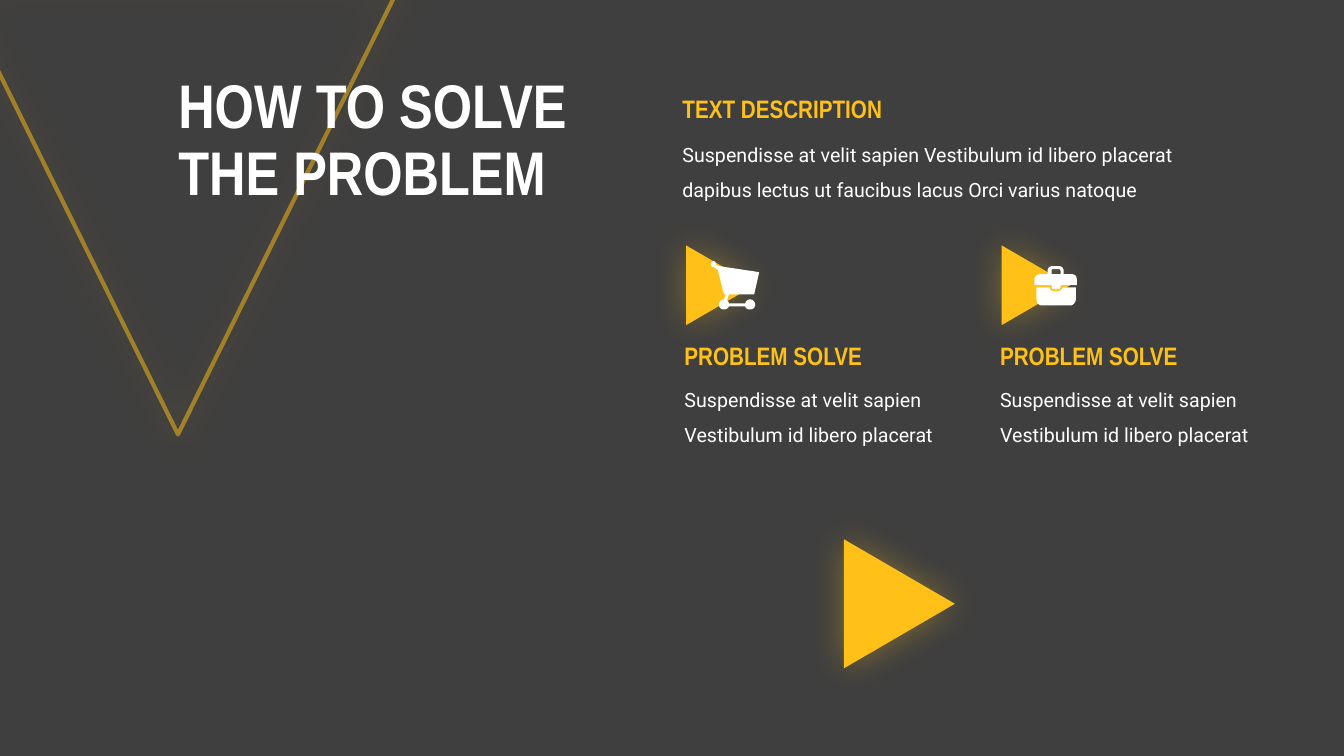
from lxml.etree import SubElement
from pptx import Presentation
from pptx.dml.color import RGBColor
from pptx.enum.shapes import MSO_SHAPE
from pptx.enum.text import MSO_ANCHOR, MSO_AUTO_SIZE
from pptx.oxml.ns import qn
from pptx.util import Inches, Pt

COLORS = {"back": "3F3F3F", "gold": "FFC118", "white": "FFFFFF"}
HEAD, BODY = "Arial Narrow", "Roboto"

TITLE = ["HOW TO SOLVE", "THE PROBLEM"]
INTRO = ("TEXT DESCRIPTION",
         "Suspendisse at velit sapien Vestibulum id libero placerat "
         "dapibus lectus ut faucibus lacus Orci varius natoque")
SOLVE = ("PROBLEM SOLVE",
         "Suspendisse at velit sapien Vestibulum id libero placerat")

# Outlines in hundredths of an inch: two numbers make a line, six a curve.
CART = [[
    (39, 38), (36, 38, 35, 40, 34, 42), (18, 42), (18, 41, 17, 40, 16, 39),
    (18, 33), (43, 33), (48, 11), (8, 5), (5, 4), (5, 3), (5, 2, 4, 0, 3, 0),
    (1, 0, 0, 2, 0, 3), (0, 5, 1, 6, 3, 6), (7, 9), (13, 33), (15, 33),
    (13, 38), (10, 38, 8, 41, 8, 43), (8, 46, 10, 48, 13, 48),
    (15, 48, 17, 47, 18, 45), (34, 45), (35, 47, 36, 48, 39, 48),
    (42, 48, 44, 46, 44, 43), (44, 41, 42, 38, 39, 38)]]
CASE = [[
    (23, 25), (19, 25), (17, 25, 15, 23, 15, 21), (2, 21), (2, 33),
    (2, 36, 4, 39, 7, 39), (36, 39), (38, 39, 41, 36, 41, 33), (41, 21),
    (28, 21), (28, 23, 25, 25, 23, 25)]]
LID = [[
    (37, 8), (29, 8), (29, 5), (29, 2, 27, 0, 24, 0), (18, 0),
    (15, 0, 13, 2, 13, 5), (13, 8), (6, 8), (3, 8, 0, 10, 0, 13), (0, 19),
    (17, 19), (17, 20), (17, 22, 18, 23, 19, 23), (23, 23),
    (25, 23, 26, 22, 26, 20), (26, 19), (42, 19), (42, 13),
    (42, 10, 40, 8, 37, 8)], [
    (17, 5), (17, 4, 17, 3, 18, 3), (24, 3), (25, 3, 26, 4, 26, 5), (26, 8),
    (17, 8)]]

# Each column: its icon parts, and where the icon starts
COLUMNS = [([CART], 7.05, 2.59), ([CASE, LID], 10.26, 2.64)]
LEFT, STEP = 6.69, 3.13


def color(name):
    return RGBColor.from_string(COLORS[name])


def add_alpha(node, percent):
    SubElement(node, qn("a:alpha"), val=str(percent * 1000))


def add_triangle(slide, x, y, w, h, turn, filled=True):
    """Add a triangle with a golden glow, either filled or as an outline."""
    shape = slide.shapes.add_shape(
        MSO_SHAPE.ISOSCELES_TRIANGLE, Inches(x), Inches(y), Inches(w), Inches(h))
    shape.rotation = turn
    if filled:
        shape.fill.solid()
        shape.fill.fore_color.rgb = color("gold")
        shape.line.fill.background()
    else:
        shape.fill.background()
        shape.line.color.rgb = color("gold")
        shape.line.width = Pt(3)
        add_alpha(shape.element.spPr.find(".//" + qn("a:srgbClr")), 50)
    shape.shadow.inherit = False
    glow = SubElement(shape.element.spPr.find(qn("a:effectLst")),
                      qn("a:outerShdw"), blurRad=str(Pt(25)), dist="0",
                      dir="0", algn="ctr", rotWithShape="0")
    add_alpha(SubElement(glow, qn("a:srgbClr"), val=COLORS["gold"]), 35)


def add_text(slide, lines, box, font, size, shade, bold=False, spacing=1.0):
    frame = slide.shapes.add_textbox(*map(Inches, box)).text_frame
    frame.word_wrap = True
    para = frame.paragraphs[0]
    para.line_spacing = spacing
    for i, line in enumerate(lines):
        if i:
            para.add_line_break()
        run = para.add_run()
        run.text = line
        run.font.name, run.font.size, run.font.bold = font, Pt(size), bold
        run.font.color.rgb = color(shade)
    return frame


def add_block(slide, words, head_box, body_box):
    head, body = words
    for frame in (
            add_text(slide, [body], body_box, BODY, 14, "white", spacing=1.5),
            add_text(slide, [head], head_box, HEAD, 18, "gold", bold=True)):
        frame.auto_size = MSO_AUTO_SIZE.SHAPE_TO_FIT_TEXT


def trace(outline, steps=6):
    """Turn lines and cubic curves into a list of points."""
    points = []
    for part in outline:
        if len(part) == 2:
            points.append(part)
            continue
        nodes = [points[-1], part[:2], part[2:4], part[4:]]
        for i in range(1, steps + 1):
            t = i / steps
            parts = ((1 - t) ** 3, 3 * t * (1 - t) ** 2, 3 * t * t * (1 - t), t ** 3)
            points.append(tuple(sum(p * n[axis] for p, n in zip(parts, nodes))
                                for axis in (0, 1)))
    return points


def add_icon(slide, outlines, x, y):
    pen = None
    for outline in outlines:
        first, *rest = [(Inches(x + px / 100), Inches(y + py / 100))
                        for px, py in trace(outline)]
        if pen is None:
            pen = slide.shapes.build_freeform(*first)
        else:
            pen.move_to(*first)
        pen.add_line_segments(rest, close=True)
    icon = pen.convert_to_shape()
    icon.fill.solid()
    icon.fill.fore_color.rgb = color("white")
    icon.line.fill.background()
    icon.shadow.inherit = False


def main():
    deck = Presentation()
    deck.slide_width, deck.slide_height = Inches(13.33), Inches(7.5)
    slide = deck.slides.add_slide(deck.slide_layouts[6])
    slide.background.fill.solid()
    slide.background.fill.fore_color.rgb = color("back")

    add_triangle(slide, -0.43, -0.13, 4.39, 4.44, 180, filled=False)
    title = add_text(slide, TITLE, (1.67, 0.62, 5.62, 1.58), HEAD, 44,
                     "white", bold=True, spacing=0.9)
    title.vertical_anchor = MSO_ANCHOR.MIDDLE
    add_block(slide, INTRO, (6.67, 0.88, 2.45, 0.4), (6.67, 1.25, 5.13, 0.77))

    for i, (icons, x, y) in enumerate(COLUMNS):
        left = LEFT + i * STEP
        add_triangle(slide, left + 0.06, 2.49, 0.79, 0.68, 90)
        add_block(slide, SOLVE, (left, 3.33, 2.21, 0.4), (left, 3.68, 2.69, 0.77))
        for outlines in icons:
            add_icon(slide, outlines, x, y)

    add_triangle(slide, 8.28, 5.44, 1.28, 1.1, 90)
    deck.save("out.pptx")


if __name__ == "__main__":
    main()
